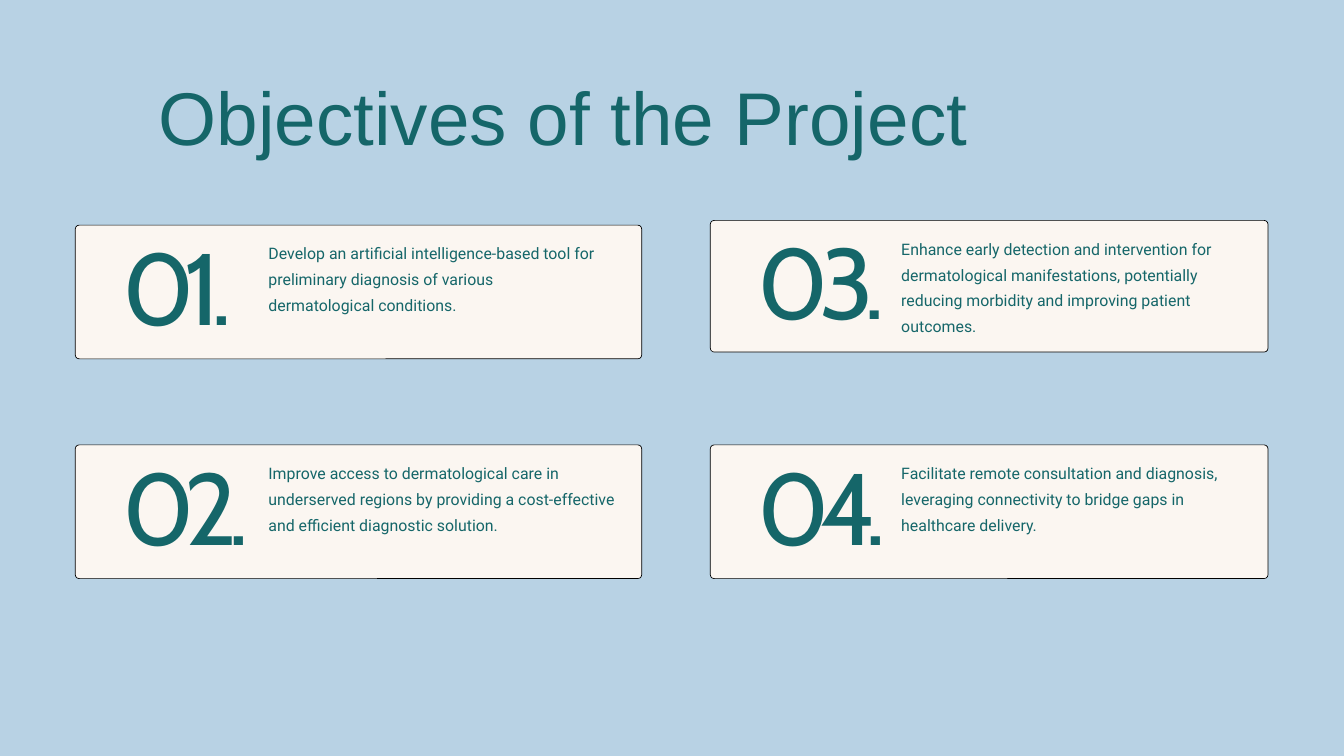
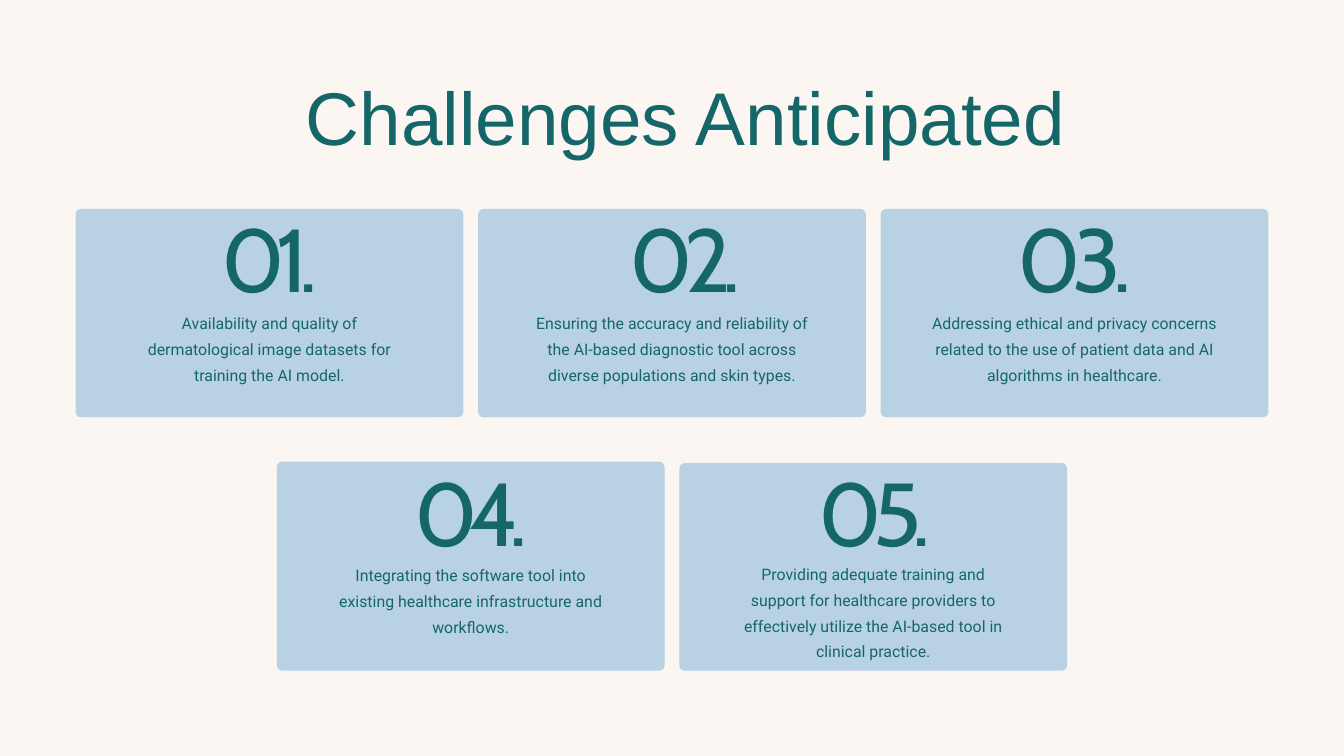
from pptx import Presentation
from pptx.dml.color import RGBColor
from pptx.enum.shapes import MSO_SHAPE
from pptx.enum.text import MSO_ANCHOR, MSO_AUTO_SIZE, PP_ALIGN
from pptx.util import Inches, Pt

ROUNDED = MSO_SHAPE.ROUNDED_RECTANGLE
TOP = MSO_ANCHOR.TOP
NO_FIT = MSO_AUTO_SIZE.NONE
LEFT, CENTER = PP_ALIGN.LEFT, PP_ALIGN.CENTER

BLUE, CREAM, TEAL, BLACK = "B8D2E4", "FBF6F1", "156669", "000000"
TITLE_FONT, NUMBER_FONT, BODY_FONT = "Arial", "Cabin", "Roboto"
TITLE_SIZE, BODY_SIZE = 80, 17
TITLE_LEADING, BODY_LEADING = 76.8, 27.7
TITLE_ONLY = 5

# Cards: left, top, width, height
# Objectives: number, card, number size, text width, text
OBJECTIVES = [
    ("01.", (1.12, 3.35, 8.43, 1.99), 108.7, 4.92,
     "Develop an artificial intelligence-based tool for preliminary "
     "diagnosis of various dermatological conditions."),
    ("02.", (1.12, 6.62, 8.43, 1.99), 108.7, 5.17,
     "Improve access to dermatological care in underserved regions by "
     "providing a cost-effective and efficient diagnostic solution."),
    ("03.", (10.57, 3.28, 8.3, 1.96), 107, 4.85,
     "Enhance early detection and intervention for dermatological "
     "manifestations, potentially reducing morbidity and improving "
     "patient outcomes."),
    ("04.", (10.57, 6.62, 8.3, 1.99), 108.7, 4.85,
     "Facilitate remote consultation and diagnosis, leveraging "
     "connectivity to bridge gaps in healthcare delivery."),
]

# Challenges, row by row: number, card top, text top, text width,
# shift of the number from the card's middle, text
CHALLENGES = [
    [("01.", 3.11, 4.57, 4.12, 0,
      "Availability and quality of dermatological image datasets for "
      "training the AI model."),
     ("02.", 3.11, 4.57, 4.12, 0.2,
      "Ensuring the accuracy and reliability of the AI-based diagnostic "
      "tool across diverse populations and skin types."),
     ("03.", 3.11, 4.57, 4.33, 0,
      "Addressing ethical and privacy concerns related to the use of "
      "patient data and AI algorithms in healthcare.")],
    [("04.", 6.87, 8.32, 4.12, 0,
      "Integrating the software tool into existing healthcare "
      "infrastructure and workflows."),
     ("05.", 6.89, 8.3, 4.12, 0.02,
      "Providing adequate training and support for healthcare providers "
      "to effectively utilize the AI-based tool in clinical practice.")],
]
ROW_BOTTOMS = (6.21, 9.98)
ROW_NUMBER_TOPS = (3.34, 7.12)
SLIDE_W, SLIDE_H = 20, 11.25
CARD_W, CARD_GAP = 5.77, 0.22
NUMBER_W, NUMBER_H, NUMBER_SIZE = 1.91, 1.35, 95.6


def rgb(color):
    return RGBColor.from_string(color)


def write(s, text, font, size, leading, align=LEFT, spacing=0):
    """Fill a shape with one teal paragraph; sizes and spacing in points."""
    tf = s.text_frame
    tf.word_wrap = True
    tf.auto_size = NO_FIT
    tf.vertical_anchor = TOP
    tf.margin_left = tf.margin_top = tf.margin_right = tf.margin_bottom = 0
    p = tf.paragraphs[0]
    r = p.add_run()
    r.text = text
    p.alignment = align
    p.line_spacing = Pt(leading)
    p.font.name = font
    p.font.size = Pt(size)
    p.font.color.rgb = rgb(TEAL)
    if spacing:
        r._r.get_or_add_rPr().set("spc", str(round(spacing * 100)))


def add_slide(prs, title, box, background, align=LEFT):
    slide = prs.slides.add_slide(prs.slide_layouts[TITLE_ONLY])
    slide.background.fill.solid()
    slide.background.fill.fore_color.rgb = rgb(background)
    s = slide.shapes.title
    s.left, s.top, s.width, s.height = map(Inches, box)
    write(s, title, TITLE_FONT, TITLE_SIZE, TITLE_LEADING, align)
    return slide


def add_card(slide, box, fill, radius, line=None):
    s = slide.shapes.add_shape(ROUNDED, *map(Inches, box))
    s.adjustments[0] = radius / min(box[2:])
    s.shadow.inherit = False
    s.fill.solid()
    s.fill.fore_color.rgb = rgb(fill)
    if line:
        s.line.color.rgb = rgb(line)
        s.line.width = Pt(0.75)
    else:
        s.line.fill.background()


def add_number(slide, box, number, size, align=LEFT):
    s = slide.shapes.add_textbox(*map(Inches, box))
    write(s, number, NUMBER_FONT, size, size * 0.96, align, -size * 0.096)


def add_body(slide, box, text, align=LEFT):
    s = slide.shapes.add_textbox(*map(Inches, box))
    write(s, text, BODY_FONT, BODY_SIZE, BODY_LEADING, align)


def build_objectives(prs):
    slide = add_slide(prs, "Objectives of the Project",
                      (2.36, 1.32, 15.27, 1.13), BLUE)
    for number, card, size, text_w, text in OBJECTIVES:
        left, top, width, _ = card
        number_w = width * 0.258
        number_left = left + 0.7
        add_card(slide, card, CREAM, 0.06, BLACK)
        add_number(slide, (number_left, top + 0.35, number_w, 1.54),
                   number, size)
        add_body(slide, (number_left + number_w, top + 0.18, text_w, 1.52),
                 text)


def build_challenges(prs):
    slide = add_slide(prs, "Challenges Anticipated",
                      (1.95, 1.32, 16.51, 1.13), CREAM, CENTER)
    step = CARD_W + CARD_GAP
    for row, bottom, number_top in zip(CHALLENGES, ROW_BOTTOMS,
                                       ROW_NUMBER_TOPS):
        first_middle = SLIDE_W / 2 - step * (len(row) - 1) / 2
        for i, (number, top, text_top, text_w, shift, text) in enumerate(row):
            middle = first_middle + i * step
            add_card(slide, (middle - CARD_W / 2, top, CARD_W, bottom - top),
                     BLUE, 0.08)
            add_number(slide, (middle + shift - NUMBER_W / 2, number_top,
                               NUMBER_W, NUMBER_H),
                       number, NUMBER_SIZE, CENTER)
            add_body(slide, (middle - text_w / 2, text_top, text_w, 1.52),
                     text, CENTER)


def main():
    prs = Presentation()
    prs.slide_width, prs.slide_height = Inches(SLIDE_W), Inches(SLIDE_H)
    build_objectives(prs)
    build_challenges(prs)
    prs.save("out.pptx")


if __name__ == "__main__":
    main()
